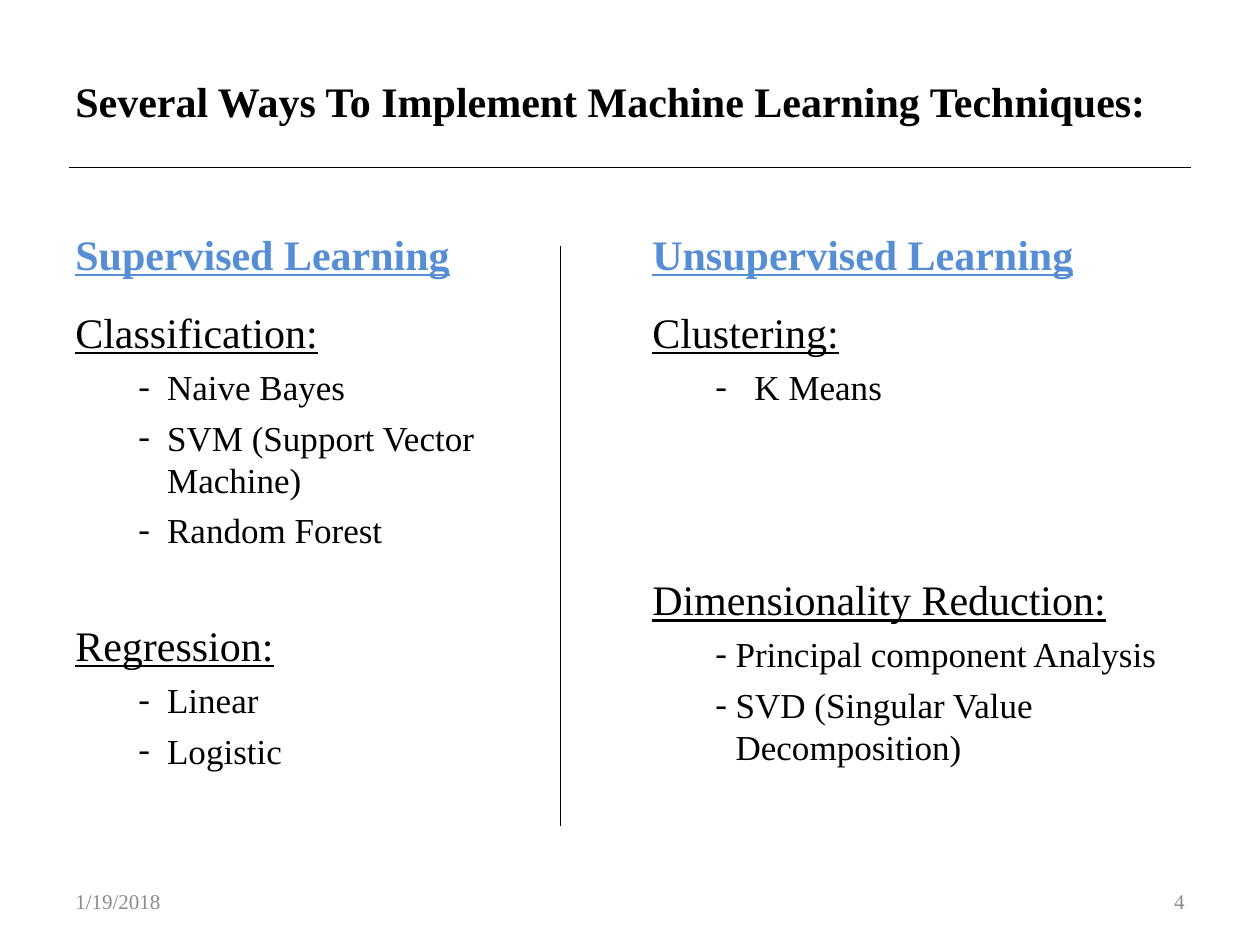
from dataclasses import dataclass

from lxml.etree import SubElement
from pptx import Presentation
from pptx.dml.color import RGBColor
from pptx.enum.shapes import MSO_CONNECTOR
from pptx.enum.text import MSO_ANCHOR, PP_ALIGN
from pptx.oxml.ns import qn
from pptx.util import Cm, Pt


@dataclass(frozen=True)
class Theme:
    font: str = "Times New Roman"
    ink: str = "000000"
    accent: str = "558ED5"
    muted: str = "8C8C8C"
    heading_size: int = 24
    item_size: int = 20
    footer_size: int = 12
    line_width: float = 0.75
    item_space: int = 5
    bullet_left: float = 1.27


class SlideBuilder:
    def __init__(self, slide, theme):
        self.slide = slide
        self.theme = theme

    def frame(self, left, top, width, height, anchor=MSO_ANCHOR.TOP):
        box = self.slide.shapes.add_textbox(Cm(left), Cm(top), Cm(width), Cm(height))
        box.text_frame.word_wrap = True
        box.text_frame.vertical_anchor = anchor
        return box.text_frame

    def run(self, paragraph, text, size, color, bold=False, underline=False):
        run = paragraph.add_run()
        run.text = text
        font = run.font
        font.name, font.size = self.theme.font, Pt(size)
        font.bold, font.underline = bold, underline
        font.color.rgb = RGBColor.from_string(color)

    def label(self, text, area, size, color, anchor=MSO_ANCHOR.MIDDLE,
              align=PP_ALIGN.LEFT, **style):
        paragraph = self.frame(*area, anchor).paragraphs[0]
        paragraph.alignment = align
        self.run(paragraph, text, size, color, **style)

    def bullet(self, paragraph, text_left):
        props = paragraph._p.get_or_add_pPr()
        props.set("marL", str(Cm(text_left)))
        props.set("indent", str(Cm(self.theme.bullet_left) - Cm(text_left)))
        SubElement(props, qn("a:buFont")).set("typeface", self.theme.font)
        SubElement(props, qn("a:buChar")).set("char", "-")

    def topics(self, groups, area):
        theme = self.theme
        frame = self.frame(*area)
        for index, (heading, space, text_left, items) in enumerate(groups):
            paragraph = frame.add_paragraph() if index else frame.paragraphs[0]
            paragraph.space_before = Pt(space)
            self.run(paragraph, heading, theme.heading_size, theme.ink, underline=True)
            for item in items:
                paragraph = frame.add_paragraph()
                paragraph.space_before = Pt(theme.item_space)
                self.bullet(paragraph, text_left)
                self.run(paragraph, item, theme.item_size, theme.ink)

    def rule(self, x1, y1, x2, y2):
        line = self.slide.shapes.add_connector(
            MSO_CONNECTOR.STRAIGHT, Cm(x1), Cm(y1), Cm(x2), Cm(y2))
        line.line.color.rgb = RGBColor.from_string(self.theme.ink)
        line.line.width = Pt(self.theme.line_width)
        SubElement(line._element.spPr, qn("a:effectLst"))


# Each group: heading, space before it (pt), text indent (cm), items
COLUMNS = [
    ("Supervised Learning", 1.27, [
        ("Classification:", 6, 1.85,
         ["Naive Bayes", "SVM (Support Vector Machine)", "Random Forest"]),
        ("Regression:", 39, 1.85, ["Linear", "Logistic"]),
    ]),
    ("Unsupervised Learning", 12.9, [
        ("Clustering:", 6, 2.06, ["K Means"]),
        ("Dimensionality Reduction:", 95, 1.68,
         ["Principal component Analysis", "SVD (Singular Value Decomposition)"]),
    ]),
]
COLUMN_WIDTH = 11.23

presentation = Presentation()
presentation.slide_width, presentation.slide_height = Cm(25.4), Cm(19.05)
theme = Theme()
builder = SlideBuilder(
    presentation.slides.add_slide(presentation.slide_layouts[6]), theme)

# Title
builder.label("Several Ways To Implement Machine Learning Techniques:",
              (1.27, 0.76, 22.86, 2.54), theme.heading_size, theme.ink, bold=True)

# Two columns of techniques
for name, left, groups in COLUMNS:
    builder.label(name, (left, 3.96, COLUMN_WIDTH, 1.78), theme.heading_size,
                  theme.accent, MSO_ANCHOR.BOTTOM, bold=True, underline=True)
    builder.topics(groups, (left, 6.05, COLUMN_WIDTH, 10.97))

# Title rule and column divider
builder.rule(1.4, 3.38, 24, 3.38)
builder.rule(11.3, 4.95, 11.3, 16.66)

# Footer
for text, left, align in [("1/19/2018", 1.27, PP_ALIGN.LEFT),
                          ("4", 18.21, PP_ALIGN.RIGHT)]:
    builder.label(text, (left, 17.65, 5.92, 1.02), theme.footer_size,
                  theme.muted, align=align)

presentation.save("out.pptx")
